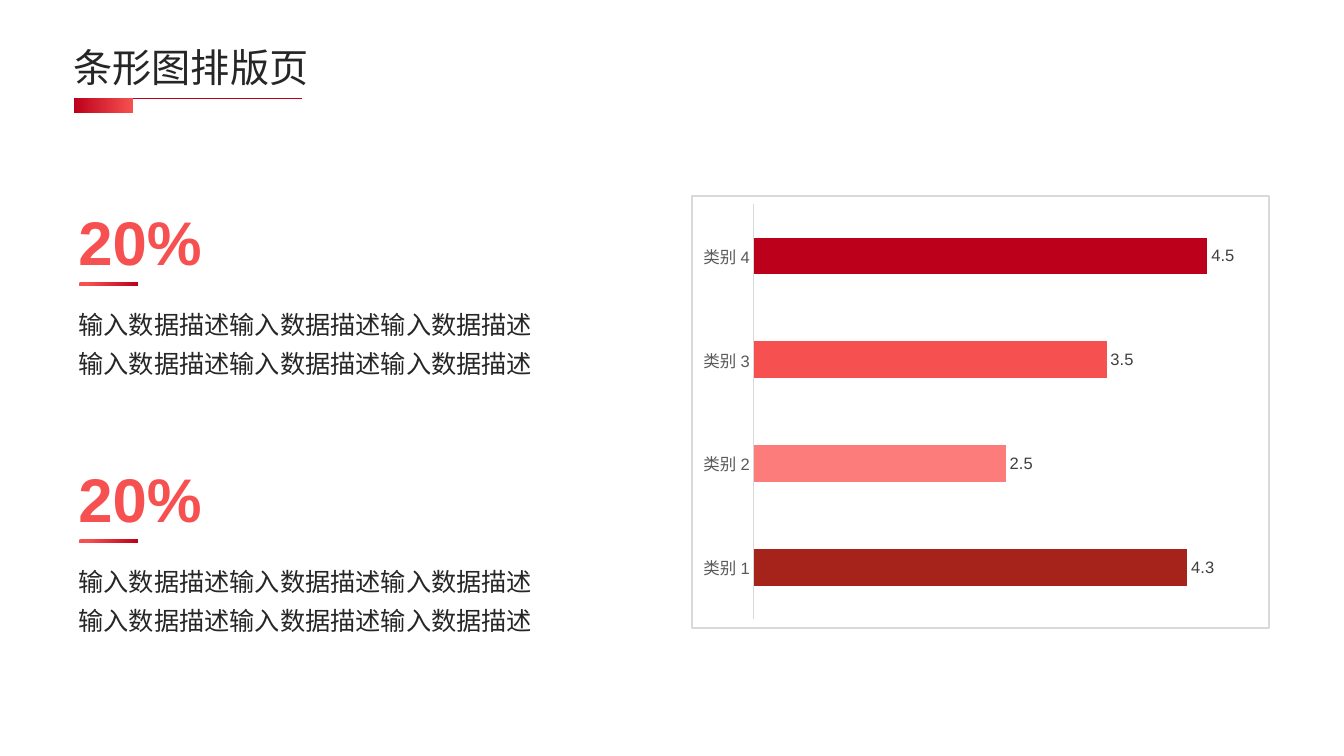
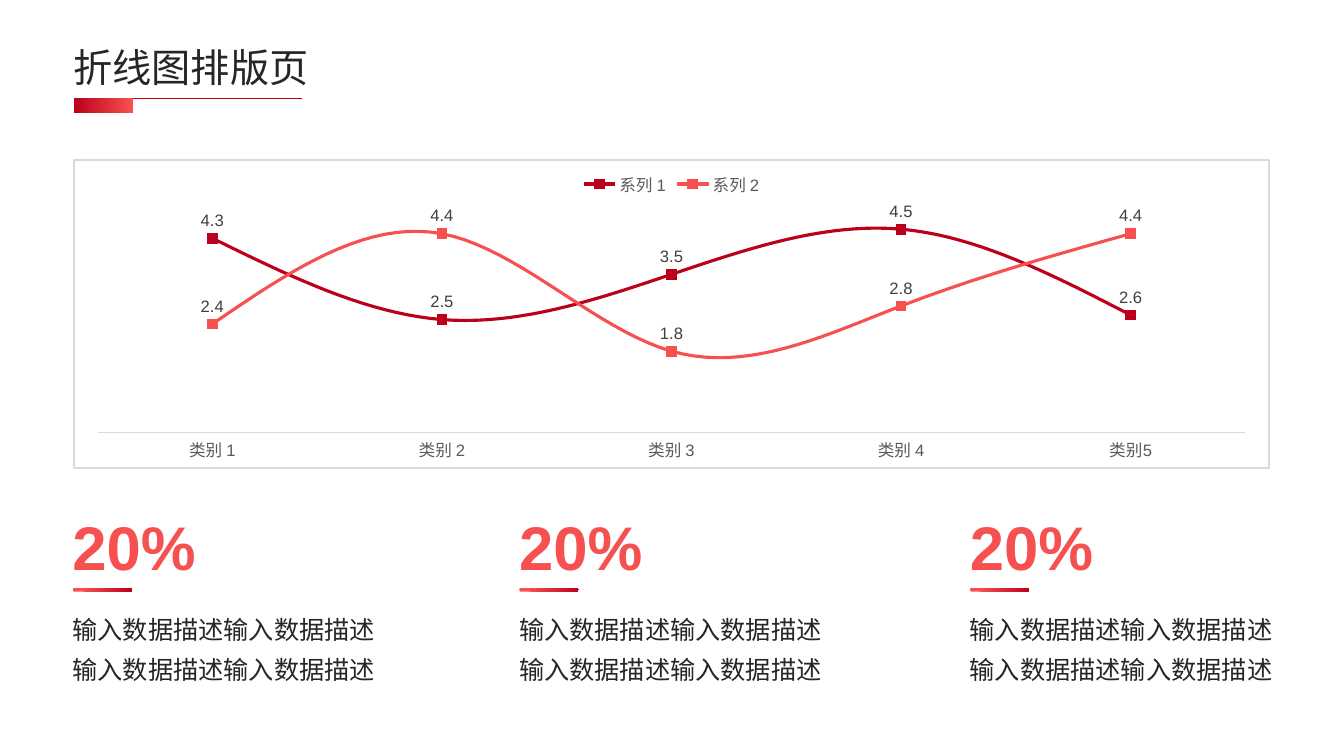
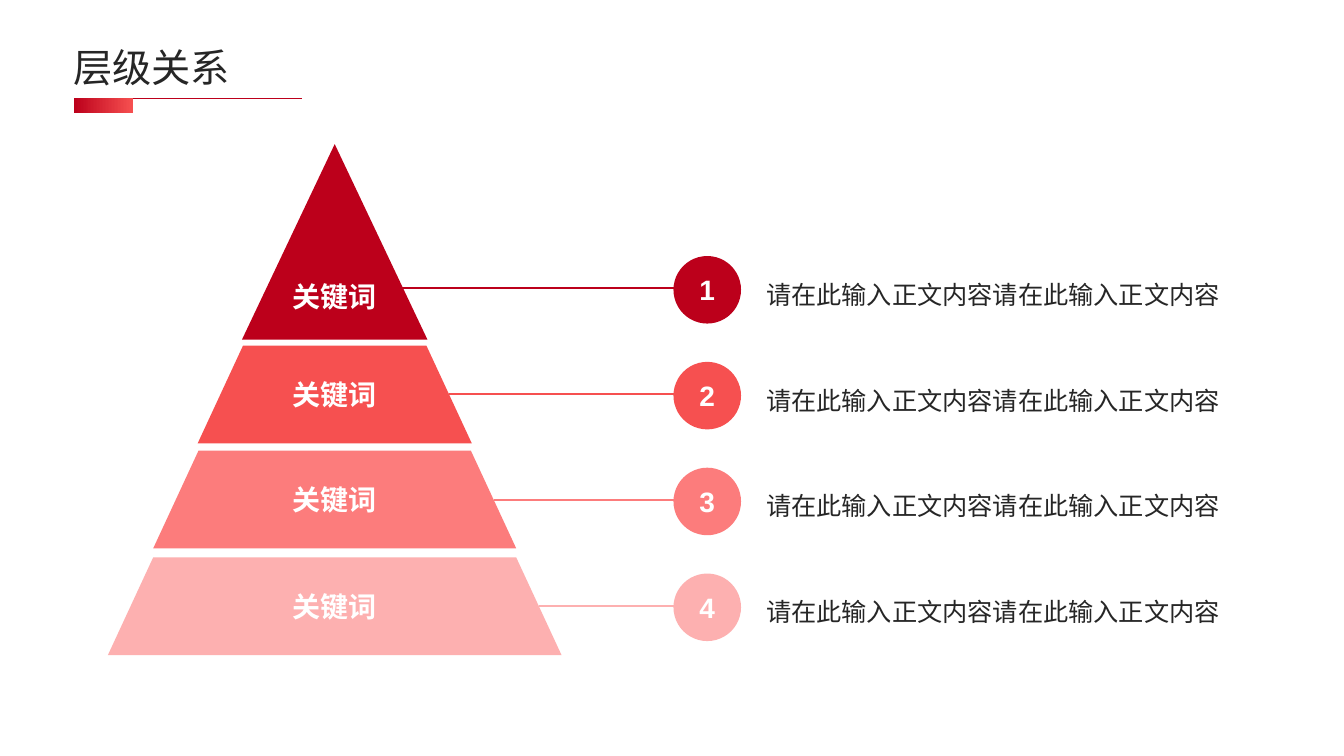
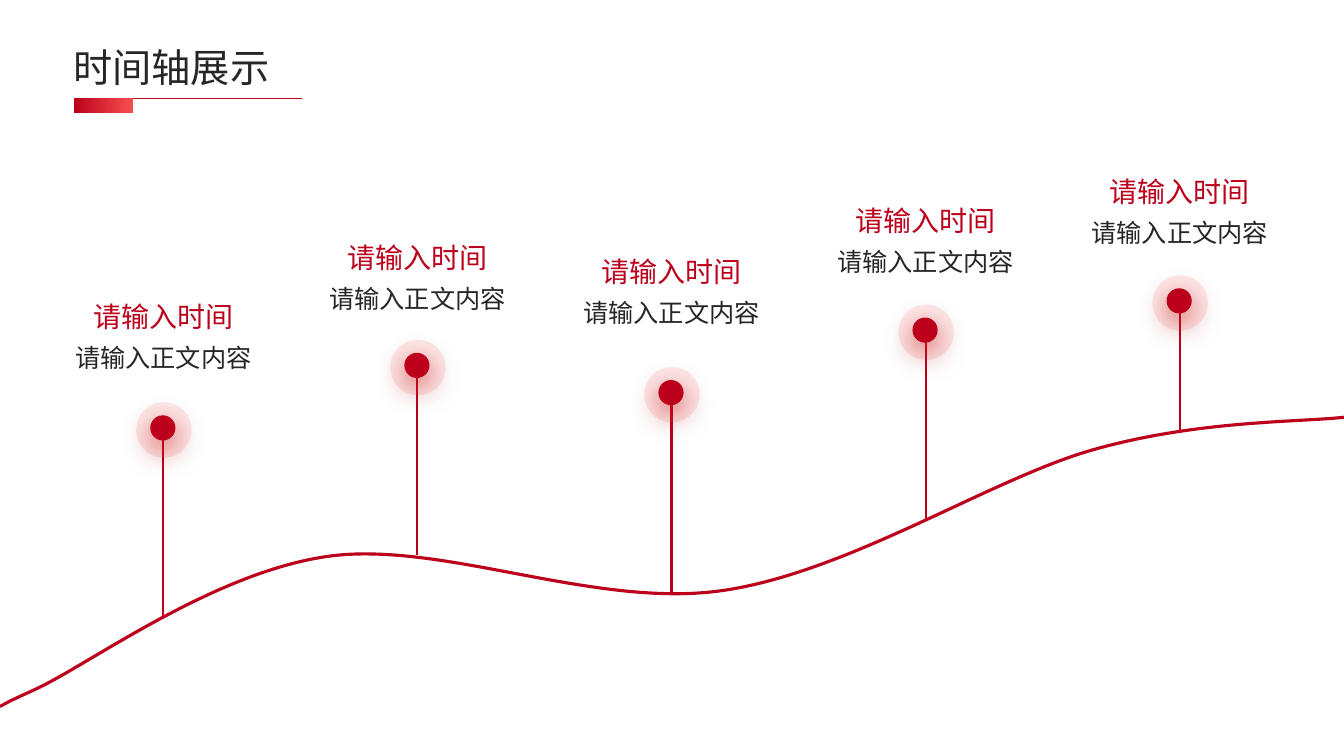
import pptx
import pptx.chart.data
import pptx.dml.color
import pptx.enum.chart
import pptx.enum.shapes
import pptx.enum.text
import pptx.oxml
import pptx.oxml.ns
import pptx.util
from pptx.util import Inches

COLORS = {
    "crimson": "BC001B", "coral": "F65050", "salmon": "FC7C7C", "blush": "FDB0B0",
    "brick": "A6231C", "glow": "C00000", "ink": "262626", "label": "404040",
    "axis": "595959", "rule": "D9D9D9", "white": "FFFFFF",
}
LATIN, HAN = "Arial", "Noto Sans CJK SC"
SHAPES = pptx.enum.shapes.MSO_SHAPE
CENTER = pptx.enum.text.PP_ALIGN.CENTER
MIDDLE = pptx.enum.text.MSO_ANCHOR.MIDDLE
CHART = pptx.enum.chart
NS = 'xmlns:a="http://schemas.openxmlformats.org/drawingml/2006/main"'
LEVEL_COLORS = ["crimson", "coral", "salmon", "blush"]
WIDTH, HEIGHT = 13.33, 7.5


# Shared helpers
def rgb(name):
    return pptx.dml.color.RGBColor.from_string(COLORS[name])


def inches(*lengths):
    return [Inches(length) for length in lengths]


def write(shape, *lines, size=18, color="ink", bold=False, font=LATIN,
          align=None, spacing=None, anchor=None):
    """Add each line as a paragraph; an empty frame's own paragraph comes first."""
    frame = shape.text_frame
    frame.word_wrap = True
    if anchor is not None:
        frame.vertical_anchor = anchor
    for line in lines:
        paragraph = frame.add_paragraph() if frame.text else frame.paragraphs[0]
        paragraph.alignment = align
        paragraph.line_spacing = spacing
        run = paragraph.add_run()
        run.text = line
        run.font.size = pptx.util.Pt(size)
        run.font.bold = bold
        run.font.color.rgb = rgb(color)
        run.font.name = font
        east_asian = pptx.oxml.parse_xml(f'<a:ea {NS} typeface="{font}"/>')
        run.font._element.find(pptx.oxml.ns.qn("a:latin")).addnext(east_asian)


def text_box(slide, box, *lines, **text_format):
    area = slide.shapes.add_textbox(*inches(*box))
    write(area, *lines, **text_format)
    return area


def paint(shape, color, opacity=100):
    shape.shadow.inherit = False
    shape.fill.solid()
    shape.fill.fore_color.rgb = rgb(color)
    if opacity < 100:
        tint = shape._element.spPr.find(".//" + pptx.oxml.ns.qn("a:srgbClr"))
        tint.append(pptx.oxml.parse_xml(f'<a:alpha {NS} val="{opacity * 1000}"/>'))
    shape.line.fill.background()


def solid(slide, kind, box, color, opacity=100):
    shape = slide.shapes.add_shape(kind, *inches(*box))
    paint(shape, color, opacity)
    return shape


def gradient_bar(slide, kind, box, stops):
    bar = solid(slide, kind, box, "coral")
    bar.fill.gradient()
    bar.fill.gradient_angle = 0
    for stop, (position, color) in zip(bar.fill.gradient_stops, stops):
        stop.position = position
        stop.color.rgb = rgb(color)
    return bar


def line(slide, start, end, color, width):
    rule = slide.shapes.add_connector(
        pptx.enum.shapes.MSO_CONNECTOR.STRAIGHT, *inches(*start, *end))
    rule.line.color.rgb = rgb(color)
    rule.line.width = pptx.util.Pt(width)
    rule._element.spPr.append(pptx.oxml.parse_xml(f"<a:effectLst {NS}/>"))


def outline(slide, points, close):
    corners = [inches(*point) for point in points]
    builder = slide.shapes.build_freeform(*corners[0])
    builder.add_line_segments(corners[1:], close=close)
    shape = builder.convert_to_shape()
    shape.shadow.inherit = False
    return shape


def titled_slide(deck, title):
    slide = deck.slides.add_slide(deck.slide_layouts[6])
    solid(slide, SHAPES.RECTANGLE, (0, 0, WIDTH, HEIGHT), "white", opacity=41)
    line(slide, (0.75, 0.98), (3, 0.98), "crimson", 0.75)
    gradient_bar(slide, SHAPES.RECTANGLE, (0.73, 0.97, 0.59, 0.15),
                 [(0, "crimson"), (1, "coral")])
    text_box(slide, (0.63, 0.35, 8.89, 0.69), title, size=28, font=HAN,
             spacing=0.9, anchor=MIDDLE)
    return slide


def statistic(slide, left, top, width, description):
    """Large figure, short underline and two lines of description."""
    text_box(slide, (left, top, 1.54, 0.97), "20%", size=44, color="coral",
             bold=True, spacing=1.3)
    text_box(slide, (left, top + 1.18, width, 0.85), description, description,
             spacing=1.3)
    underline = gradient_bar(slide, SHAPES.ROUNDED_RECTANGLE,
                             (left + 0.1, top + 1.05, 0.59, 0.04),
                             [(0.15, "coral"), (1, "crimson")])
    underline.adjustments[0] = 0.5


# Charts
def chart_font(font, color):
    font.size = pptx.util.Pt(11.9)
    font.name = LATIN
    font.color.rgb = rgb(color)


def framed_chart(slide, box, kind, categories, series, label_position):
    data = pptx.chart.data.CategoryChartData(number_format="General")
    data.categories = categories
    for name, values in series:
        data.add_series(name, values)
    chart = slide.shapes.add_chart(kind, *inches(*box), data).chart
    chart.has_title = False
    chart.has_legend = False
    chart_font(chart.font, "axis")
    frame = pptx.oxml.parse_xml(
        '<c:spPr xmlns:c="http://schemas.openxmlformats.org/drawingml/2006/chart" '
        f'{NS}><a:noFill/><a:ln w="19050"><a:solidFill>'
        f'<a:srgbClr val="{COLORS["rule"]}"/></a:solidFill></a:ln></c:spPr>')
    chart._chartSpace.find(pptx.oxml.ns.qn("c:chart")).addnext(frame)

    values_axis, names_axis = chart.value_axis, chart.category_axis
    values_axis.visible = False
    values_axis.has_major_gridlines = False
    values_axis.minimum_scale, values_axis.maximum_scale = 0, 5
    names_axis.major_tick_mark = CHART.XL_TICK_MARK.NONE
    names_axis.format.line.color.rgb = rgb("rule")
    names_axis.format.line.width = pptx.util.Pt(0.75)
    chart_font(names_axis.tick_labels.font, "axis")

    plot = chart.plots[0]
    plot.vary_by_categories = False
    for one_series in plot.series:
        labels = one_series.data_labels
        labels.show_value = True
        labels.position = label_position
        chart_font(labels.font, "label")
    return chart


def bar_chart(slide, box):
    chart = framed_chart(
        slide, box, CHART.XL_CHART_TYPE.BAR_CLUSTERED,
        [f"类别 {number}" for number in range(1, 5)],
        [("Series 1", (4.3, 2.5, 3.5, 4.5))],
        CHART.XL_LABEL_POSITION.OUTSIDE_END)
    plot = chart.plots[0]
    plot.gap_width = 182
    for index, color in enumerate(["brick", "salmon", "coral", "crimson"]):
        fill = plot.series[0].points[index].format.fill
        fill.solid()
        fill.fore_color.rgb = rgb(color)


def line_chart(slide, box):
    chart = framed_chart(
        slide, box, CHART.XL_CHART_TYPE.LINE_MARKERS,
        ["类别 1", "类别 2", "类别 3", "类别 4", "类别5"],
        [("系列 1", (4.3, 2.5, 3.5, 4.5, 2.6)),
         ("系列 2", (2.4, 4.4, 1.8, 2.8, 4.4))],
        CHART.XL_LABEL_POSITION.ABOVE)
    chart.has_legend = True
    chart.legend.position = CHART.XL_LEGEND_POSITION.TOP
    chart.legend.include_in_layout = False
    chart_font(chart.legend.font, "axis")
    for trend, color in zip(chart.plots[0].series, LEVEL_COLORS):
        trend.smooth = True
        trend.format.line.color.rgb = rgb(color)
        trend.format.line.width = pptx.util.Pt(2.25)
        trend.marker.style = CHART.XL_MARKER_STYLE.SQUARE
        trend.marker.size = 7
        trend.marker.format.fill.solid()
        trend.marker.format.fill.fore_color.rgb = rgb(color)
        trend.marker.format.line.color.rgb = rgb(color)


# Pyramid
def pyramid_level(slide, axis, top, bottom, half_top, half_bottom, color):
    corners = [(axis + half_top, top), (axis + half_bottom, bottom),
               (axis - half_bottom, bottom), (axis - half_top, top)]
    level = outline(slide, corners if half_top else corners[:3], close=True)
    paint(level, color)
    keyword = dict(size=20, color="white", bold=True, align=CENTER)
    if half_top:
        write(level, "关键词", anchor=MIDDLE, **keyword)
    else:
        # The tip is too narrow, so its keyword sits low
        text_box(slide, (axis - 1.04, top + 1.19, 2.07, 0.5), "关键词",
                 spacing=1.3, **keyword)


def level_note(slide, start, middle, number, color):
    line(slide, (start, middle), (7.02, middle), color, 1.5)
    badge = solid(slide, SHAPES.OVAL, (6.68, middle - 0.32, 0.67, 0.67), color)
    write(badge, str(number), size=20, color="white", bold=True,
          align=CENTER, anchor=MIDDLE)
    text_box(slide, (7.5, middle - 0.23, 5.1, 0.46),
             "请在此输入正文内容请在此输入正文内容", spacing=1.3)


def pyramid(slide, axis, first_note, note_step):
    levels = [(1.43, 3.37, 0, 0.92), (3.43, 4.4, 0.91, 1.36),
              (4.47, 5.44, 1.35, 1.8), (5.53, 6.5, 1.8, 2.25)]
    for index, (level, color) in enumerate(zip(levels, LEVEL_COLORS)):
        pyramid_level(slide, axis, *level, color)
        start = axis + (level[2] + level[3]) / 2
        level_note(slide, start, first_note + index * note_step, index + 1, color)


# Timeline
def glow(shape):
    properties = shape._element.spPr
    properties.remove(properties.find(pptx.oxml.ns.qn("a:effectLst")))
    properties.append(pptx.oxml.parse_xml(
        f'<a:effectLst {NS}><a:outerShdw blurRad="228600" dist="76200" dir="5400000" '
        f'algn="t" rotWithShape="0"><a:srgbClr val="{COLORS["glow"]}">'
        '<a:alpha val="50000"/></a:srgbClr></a:outerShdw></a:effectLst>'))


def milestone(slide, center, text_top, halo_top, foot):
    line(slide, (center, halo_top + 0.29), (center, foot), "crimson", 1.5)
    halo = solid(slide, SHAPES.OVAL, (center - 0.27, halo_top, 0.55, 0.55), "coral",
                 opacity=13)
    dot = solid(slide, SHAPES.OVAL, (center - 0.13, halo_top + 0.13, 0.25, 0.25),
                "crimson")
    for circle in (halo, dot):
        glow(circle)
    caption = text_box(slide, (center - 0.99, text_top, 1.98, 0.96), "请输入时间",
                       size=20, color="crimson", font=HAN, align=CENTER, spacing=1.5)
    write(caption, "请输入正文内容", align=CENTER, spacing=1.3)


def bend(shape):
    """Turn every three straight segments into one cubic curve."""
    segments = list(shape._element.iter(pptx.oxml.ns.qn("a:lnTo")))
    for first in range(0, len(segments), 3):
        cubic = pptx.oxml.parse_xml(f"<a:cubicBezTo {NS}/>")
        segments[first].addprevious(cubic)
        for segment in segments[first:first + 3]:
            cubic.append(segment[0])
            segment.getparent().remove(segment)


def timeline_curve(slide):
    curve = outline(slide, [
        (0, 7.01),
        (0.1, 6.95), (0.22, 6.9), (0.37, 6.83),
        (0.9, 6.58), (2.12, 5.68), (3.25, 5.52),
        (4.38, 5.36), (5.89, 6.04), (7.16, 5.86),
        (8.42, 5.68), (9.82, 4.75), (10.85, 4.46),
        (11.88, 4.17), (12.86, 4.19), (13.33, 4.14),
    ], close=False)
    bend(curve)
    curve.fill.background()
    curve.line.color.rgb = rgb("crimson")
    curve.line.width = pptx.util.Pt(2.25)


# Slides
def bar_slide(deck):
    slide = titled_slide(deck, "条形图排版页")
    bar_chart(slide, (6.85, 1.93, 5.75, 4.31))
    for top in (1.75, 4.3):
        statistic(slide, 0.68, top, 4.96, "输入数据描述" * 3)


def line_slide(deck):
    slide = titled_slide(deck, "折线图排版页")
    line_chart(slide, (0.72, 1.58, 11.88, 3.07))
    for left in (0.62, 5.05, 9.52):
        statistic(slide, left, 4.78, 3.23, "输入数据描述" * 2)


def hierarchy_slide(deck):
    slide = titled_slide(deck, "层级关系")
    pyramid(slide, axis=3.32, first_note=2.86, note_step=1.05)


def timeline_slide(deck):
    slide = titled_slide(deck, "时间轴展示")
    heights = [(2.76, 3.99, 6.12), (2.17, 3.37, 5.51), (2.31, 3.64, 5.9),
               (1.8, 3.02, 5.15), (1.52, 2.73, 4.3)]
    for index, tops in enumerate(heights):
        milestone(slide, 1.62 + 2.52 * index, *tops)
    timeline_curve(slide)


def main():
    deck = pptx.Presentation()
    deck.slide_width, deck.slide_height = inches(WIDTH, HEIGHT)
    for build in (bar_slide, line_slide, hierarchy_slide, timeline_slide):
        build(deck)
    deck.save("out.pptx")


if __name__ == "__main__":
    main()
